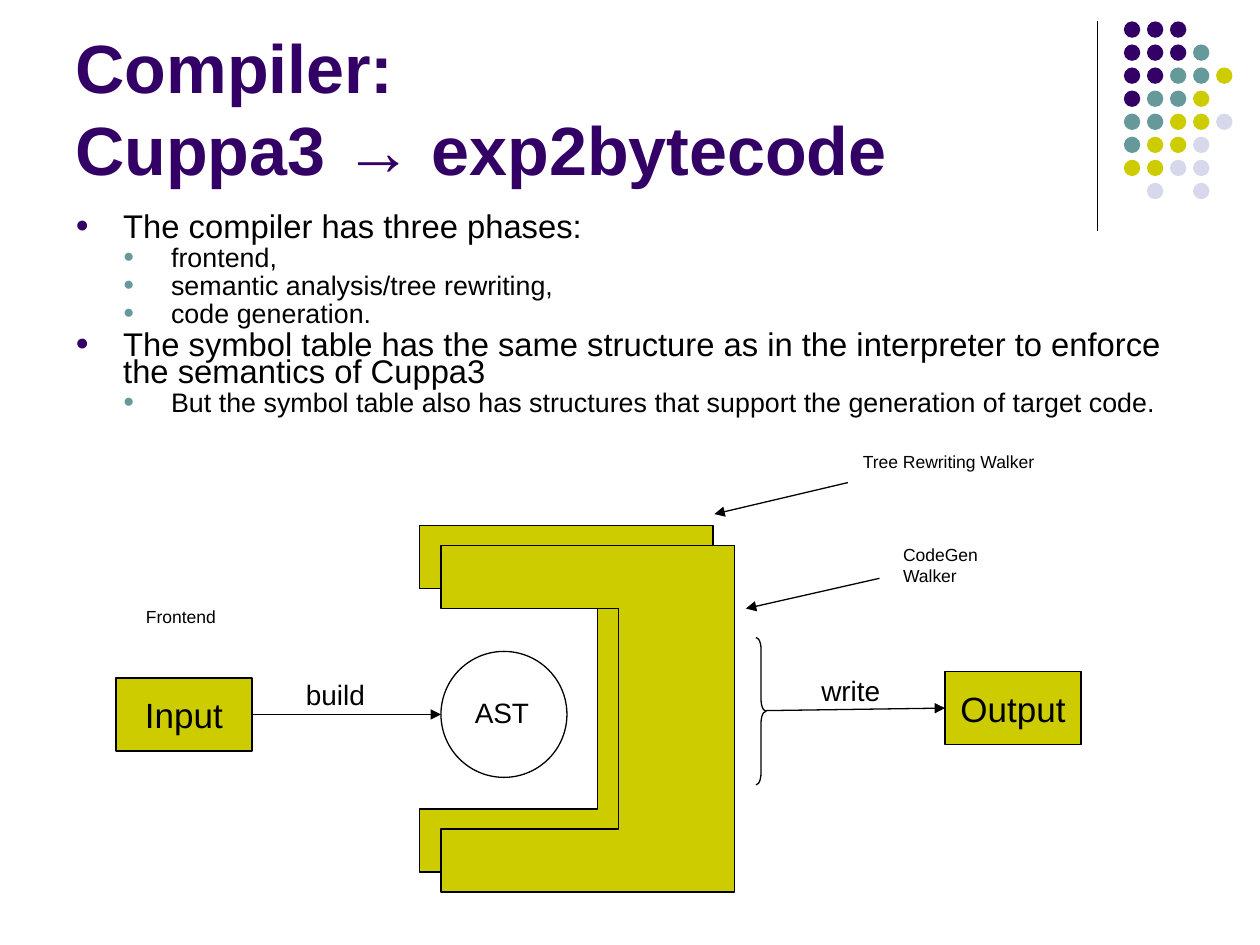
from lxml import etree
from pptx import Presentation
from pptx import util as u
from pptx.dml.color import RGBColor
from pptx.enum import shapes, text
from pptx.oxml.ns import qn

PURPLE = RGBColor(0x33, 0x00, 0x66)
TEAL = RGBColor(0x66, 0x99, 0x99)
OLIVE = RGBColor(0xCC, 0xCC, 0x00)
LILAC = RGBColor(0xD8, 0xD8, 0xEC)
BLACK = RGBColor(0x00, 0x00, 0x00)
FONT = "Arial"

TITLE = "Compiler: \vCuppa3 → exp2bytecode"
POINTS = [  # (level, text)
    (0, "The compiler has three phases:"),
    (1, "frontend,"),
    (1, "semantic analysis/tree rewriting,"),
    (1, "code generation."),
    (0, "The symbol table has the same structure as in the interpreter to enforce "
        "the semantics of Cuppa3"),
    (1, "But the symbol table also has structures that support the generation of target code."),
]
LEVELS = [(18.7, PURPLE), (15.3, TEAL)]  # text size, bullet colour
INDENT = 0.38

DOT_COLORS = {"P": PURPLE, "T": TEAL, "O": OLIVE, "L": LILAC}
DOT_ROWS = ["PPP", "PPPT", "PPTTO", "PTTO", "TTOOL", "TOOL", "OOLL", " L L"]
DOT_LEFT, DOT_TOP, DOT_PITCH, DOT_SIZE = 8.92, 0.17, 0.183, 0.13

LABELS = [  # text, size, left, top, width, height
    ("AST", 16, 3.67, 5.47, 0.63, 0.37),
    ("build", 16, 2.33, 5.33, 0.67, 0.37),
    ("write", 16, 6.42, 5.3, 0.67, 0.37),
    ("Tree Rewriting Walker", 10, 6.75, 3.53, 1.59, 0.27),
    ("CodeGen\nWalker", 10, 7.07, 4.27, 1.04, 0.57),
    ("Frontend", 10, 1.06, 4.76, 0.98, 0.34),
]
WALKER_CORNERS = [(3.33, 4.17), (3.5, 4.33)]  # tree rewriting, code generation
WALKER_WIDTH, WALKER_HEIGHT, ARM, SPINE = 2.33, 2.75, 0.5, 0.92
WALKER_POINTERS = [((6.73, 3.83), (5.67, 4.08)), ((6.98, 4.59), (5.92, 4.83))]

prs = Presentation()
prs.slide_width, prs.slide_height = u.Inches(10), u.Inches(7.5)
slide = prs.slides.add_slide(prs.slide_layouts[6])


def inches(*lengths):
    return [u.Inches(n) for n in lengths]


def write(frame, words, size, color=BLACK, bold=False, align=None,
          anchor=text.MSO_ANCHOR.TOP, wrap=False):
    frame.text = words
    frame.word_wrap = wrap
    frame.vertical_anchor = anchor
    for paragraph in frame.paragraphs:
        paragraph.alignment = align
        font = paragraph.font
        font.name, font.size, font.bold = FONT, u.Pt(size), bold
        font.color.rgb = color


def text_box(words, size, *place, **style):
    box = slide.shapes.add_textbox(*inches(*place))
    write(box.text_frame, words, size, **style)
    return box.text_frame


def paint(shape, fill=None, line=BLACK):
    shape.shadow.inherit = False
    if fill is None:
        shape.fill.background()
    else:
        shape.fill.solid()
        shape.fill.fore_color.rgb = fill
    if line is None:
        shape.line.fill.background()
    else:
        shape.line.color.rgb = line
        shape.line.width = u.Pt(0.75)
    return shape


def preset(kind, *place, **look):
    return paint(slide.shapes.add_shape(kind, *inches(*place)), **look)


def straight(start, end, arrow=True):
    line = slide.shapes.add_connector(shapes.MSO_CONNECTOR.STRAIGHT, *inches(*start, *end))
    line.line.color.rgb = BLACK
    line.line.width = u.Pt(0.75)
    if arrow:
        etree.SubElement(line.line._get_or_add_ln(), qn("a:tailEnd"), type="triangle")
    etree.SubElement(line._element.spPr, qn("a:effectLst"))
    return line


def add_bullet(paragraph, level, color):
    props = paragraph._p.get_or_add_pPr()
    props.set("marL", str(u.Inches(INDENT * (level + 1))))
    props.set("indent", str(u.Inches(-INDENT)))
    bullet = [etree.Element(qn("a:buClr")), etree.Element(qn("a:buSzPct"), val="70000"),
              etree.Element(qn("a:buFont"), typeface=FONT),
              etree.Element(qn("a:buChar"), char="●")]
    etree.SubElement(bullet[0], qn("a:srgbClr"), val=str(color))
    defaults = props.find(qn("a:defRPr"))
    for element in bullet:
        defaults.addprevious(element)


def walker(left, top):
    """Draw a bracket that opens to the left."""
    right, bottom = left + WALKER_WIDTH, top + WALKER_HEIGHT
    inner = right - SPINE
    corners = [(right, top), (right, bottom), (left, bottom), (left, bottom - ARM),
               (inner, bottom - ARM), (inner, top + ARM), (left, top + ARM)]
    outline = slide.shapes.build_freeform(*inches(left, top))
    outline.add_line_segments([inches(*corner) for corner in corners], close=True)
    paint(outline.convert_to_shape(), fill=OLIVE)


def station(name, left, top):
    box = preset(shapes.MSO_SHAPE.RECTANGLE, left, top, 1.08, 0.58, fill=OLIVE)
    write(box.text_frame, name, 20, align=text.PP_ALIGN.CENTER, anchor=text.MSO_ANCHOR.MIDDLE)
    return box


# Corner ornament
straight((8.71, 0.17), (8.71, 1.83), arrow=False)
for row, dots in enumerate(DOT_ROWS):
    for column, key in enumerate(dots):
        if key in DOT_COLORS:
            preset(shapes.MSO_SHAPE.OVAL, DOT_LEFT + column * DOT_PITCH,
                   DOT_TOP + row * DOT_PITCH, DOT_SIZE, DOT_SIZE,
                   fill=DOT_COLORS[key], line=None)

# Title and bullet points
text_box(TITLE, 39, 0.5, 0.13, 8.25, 1.42, color=PURPLE, bold=True,
         anchor=text.MSO_ANCHOR.BOTTOM, wrap=True)
body = text_box("\n".join(words for _, words in POINTS), LEVELS[0][0],
                0.5, 1.67, 9, 1.75, wrap=True)
for paragraph, (level, _) in zip(body.paragraphs, POINTS):
    size, bullet_color = LEVELS[level]
    paragraph.level = level
    paragraph.font.size = u.Pt(size)
    paragraph.line_spacing = 0.7
    paragraph.space_before = u.Pt(round(size * 0.2, 1))
    add_bullet(paragraph, level, bullet_color)

# Compiler diagram
preset(shapes.MSO_SHAPE.OVAL, 3.5, 5.17, 1, 1)
brace = preset(shapes.MSO_SHAPE.RIGHT_BRACE, 6, 5.06, 0.08, 1.17)
brace.adjustments[0] = 1.17
source = station("Input", 0.92, 5.38)
target = station("Output", 7.5, 5.33)
straight((2, 5.67), (3.5, 5.67)).begin_connect(source, 3)
straight((6.08, 5.64), (7.5, 5.62)).end_connect(target, 1)
for start, end in WALKER_POINTERS:
    straight(start, end)
for corner in WALKER_CORNERS:
    walker(*corner)
for words, size, *place in LABELS:
    text_box(words, size, *place)

prs.save("out.pptx")
